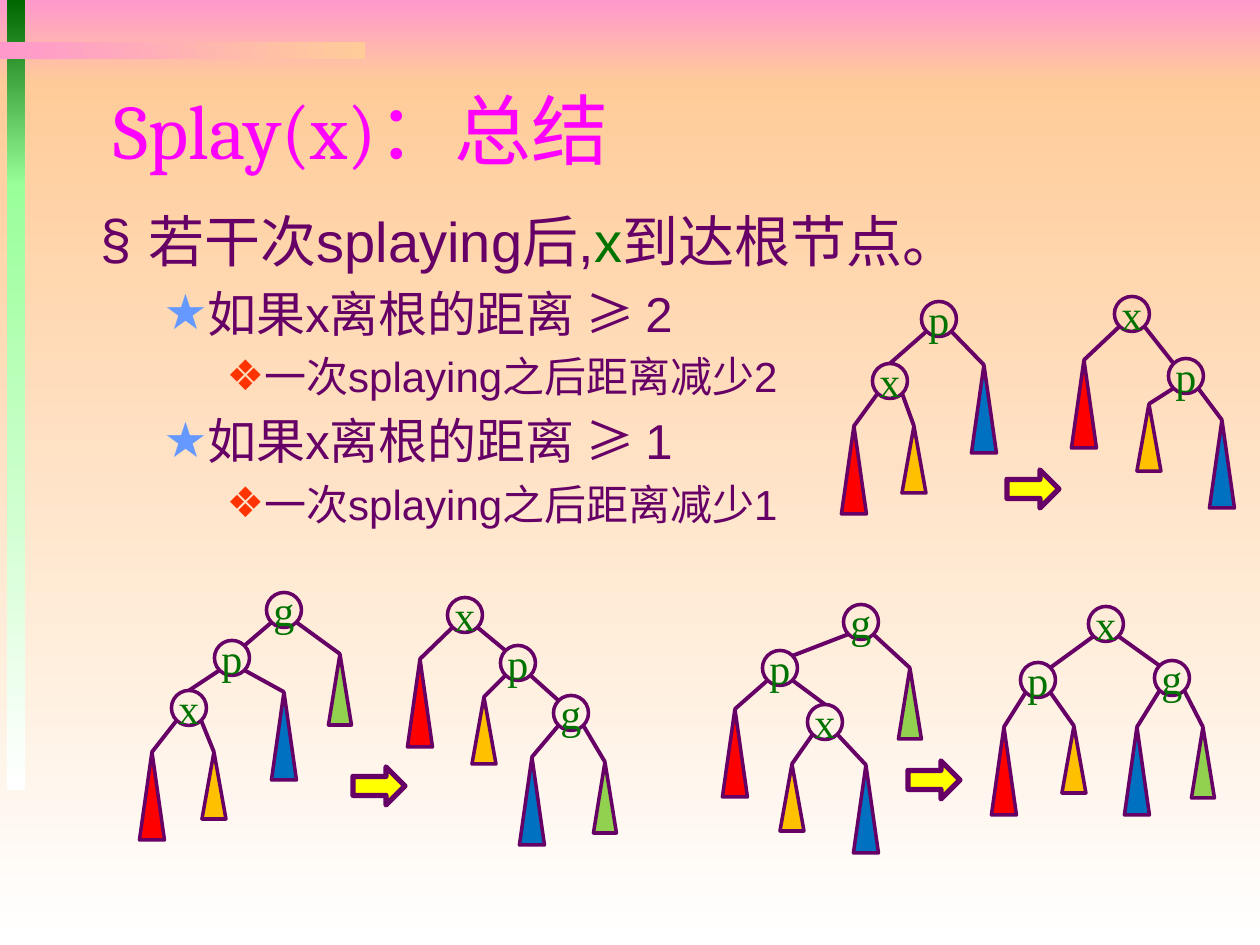
from lxml import etree
from pptx import Presentation
from pptx import util as u
from pptx.dml.color import RGBColor
from pptx.enum import shapes as kinds, text as t
from pptx.oxml import ns

PX = 914400 // 126

THEME = {
    "ink": "660066", "letter": "007200", "title": "FF00FF",
    "pink": "FF99CC", "peach": "FFCC99", "white": "FFFFFF",
    "dark green": "006600", "light green": "99FF99", "arrow": "FFFF00",
    "title font": "Cambria", "body font": "Arial", "node font": "Times New Roman",
    "title size": 44, "level sizes": (32, 28, 24), "node size": 24,
    "outline": 2, "branch": 2.25, "arrow outline": 3,
}

# box, first colour, last colour, counter-clockwise angle
BANDS = [
    ((0, 0, 1260, 84), "pink", "peach", 270),
    ((0, 84, 1260, 861), "peach", "white", 270),
    ((7, 0, 18, 186), "dark green", "light green", 270),
    ((7, 184, 18, 606), "light green", "white", 270),
    ((0, 42, 365, 17), "pink", "peach", 0),
]

TITLE = "Splay(x)：总结"
TITLE_BOX = (101, 72, 1071, 113)
BODY_BOX = (88, 200, 1008, 402)
# level, runs of (text, colour)
BODY = [
    (0, [("若干次splaying后,", "ink"), ("x", "letter"), ("到达根节点。", "ink")]),
    (1, [("如果x离根的距离 ≥ 2", "ink")]),
    (2, [("一次splaying之后距离减少2", "ink")]),
    (1, [("如果x离根的距离 ≥ 1", "ink")]),
    (2, [("一次splaying之后距离减少1", "ink")]),
]
# left margin, hanging indent, bullet, bullet colour
LEVELS = [(48, 48, "§", "660066"), (102, 39, "★", "6699FF"), (158, 32, "❖", "FF3300")]

# subtree: width, height, colour
SUBTREES = {
    "A": (25, 88, "FF0000"), "B": (24, 67, "FFC000"),
    "C": (25, 88, "0070C0"), "D": (23, 71, "92D050"),
}
NODE = 35
CORNER = 12  # offset of a circle's 45-degree point from its centre

# node: name, centre x, centre y, left child, right child; subtree: name, apex x, apex y
TREES = [
    ("p", 939, 319,
     ("x", 890, 381, ("A", 854, 426), ("B", 914, 426)),
     ("C", 984, 365)),
    ("x", 1132, 314,
     ("A", 1084, 360),
     ("p", 1186, 376, ("B", 1149, 404), ("C", 1222, 420))),
    ("g", 861, 622,
     ("p", 780, 668,
      ("A", 735, 709),
      ("x", 825, 722, ("B", 792, 764), ("C", 866, 765))),
     ("D", 910, 668)),
    ("x", 1106, 624,
     ("p", 1038, 680, ("A", 1004, 727), ("B", 1074, 726)),
     ("g", 1172, 678, ("C", 1137, 727), ("D", 1203, 727))),
    ("g", 284, 610,
     ("p", 232, 658,
      ("x", 189, 708, ("A", 152, 752), ("B", 214, 752)),
      ("C", 284, 692)),
     ("D", 340, 654)),
    ("x", 465, 615,
     ("A", 420, 659),
     ("p", 518, 663,
      ("B", 484, 697),
      ("g", 571, 713, ("C", 532, 757), ("D", 605, 762)))),
]
ARROWS = [(1007, 470), (908, 761), (353, 767)]
ARROW_SIZE = (52, 38)


def emu(lengths):
    return [round(length * PX) for length in lengths]


def rgb(name):
    return RGBColor.from_string(THEME.get(name, name))


def apply(target, **values):
    for name, value in values.items():
        setattr(target, name, value)


def add_run(paragraph, text, font, size, colour):
    run = paragraph.add_run()
    run.text = text
    apply(run.font, name=THEME[font], size=u.Pt(size))
    run.font.color.rgb = rgb(colour)


def add_shape(parent, kind, box, fill=None, width=None):
    shape = parent.shapes.add_shape(kind, *emu(box))
    shape.shadow.inherit = False
    if fill:
        shape.fill.solid()
        shape.fill.fore_color.rgb = rgb(fill)
    else:
        shape.fill.background()
    if width:
        shape.line.color.rgb = rgb("ink")
        shape.line.width = u.Pt(width)
    else:
        shape.line.fill.background()
    return shape


def add_band(slide, box, first, last, angle):
    fill = add_shape(slide, kinds.MSO_SHAPE.RECTANGLE, box).fill
    fill.gradient()
    fill.gradient_angle = angle
    for stop, colour in zip(fill.gradient_stops, (first, last)):
        stop.color.rgb = rgb(colour)


def add_branch(parent, start, end):
    line = parent.shapes.add_connector(kinds.MSO_CONNECTOR.STRAIGHT, *emu(start + end))
    line.line.color.rgb = rgb("ink")
    line.line.width = u.Pt(THEME["branch"])
    etree.SubElement(line.element.spPr, ns.qn("a:effectLst"))


def branch_end(child, side):
    """Branches reach a subtree's apex, the top of x, or the facing corner of p and g."""
    name, x, y = child[:3]
    if name in SUBTREES:
        return x, y
    if name == "x":
        return x, y - NODE / 2
    return x - side * CORNER, y - CORNER


def add_tree(group, tree):
    name, x, y, *children = tree
    if name in SUBTREES:
        width, height, colour = SUBTREES[name]
        add_shape(group, kinds.MSO_SHAPE.ISOSCELES_TRIANGLE,
                  (x - width / 2, y, width, height), colour, THEME["outline"])
        return
    circle = add_shape(group, kinds.MSO_SHAPE.OVAL,
                       (x - NODE / 2, y - NODE / 2, NODE, NODE), width=THEME["outline"])
    apply(circle.text_frame, word_wrap=False, vertical_anchor=t.MSO_ANCHOR.MIDDLE)
    paragraph = circle.text_frame.paragraphs[0]
    paragraph.alignment = t.PP_ALIGN.CENTER
    add_run(paragraph, name, "node font", THEME["node size"], "letter")
    for side, child in zip((-1, 1), children):
        add_branch(group, (x + side * CORNER, y + CORNER), branch_end(child, side))
        add_tree(group, child)


def place(placeholder, box, anchor):
    """Move a placeholder to its box, in front of the bands."""
    apply(placeholder, **dict(zip(("left", "top", "width", "height"), emu(box))))
    apply(placeholder.text_frame, word_wrap=True, vertical_anchor=anchor,
          auto_size=t.MSO_AUTO_SIZE.NONE)
    placeholder.element.getparent().append(placeholder.element)
    return placeholder.text_frame


def set_bullet(paragraph, margin, hanging, character, colour):
    properties = paragraph._p.get_or_add_pPr()
    properties.set("marL", str(margin * PX))
    properties.set("indent", str(-hanging * PX))
    bullet_colour = etree.SubElement(properties, ns.qn("a:buClr"))
    etree.SubElement(bullet_colour, ns.qn("a:srgbClr"), val=colour)
    etree.SubElement(properties, ns.qn("a:buFont"), typeface=THEME["body font"])
    etree.SubElement(properties, ns.qn("a:buChar"), char=character)


def add_body(frame):
    for index, (level, runs) in enumerate(BODY):
        paragraph = frame.add_paragraph() if index else frame.paragraphs[0]
        size = THEME["level sizes"][level]
        apply(paragraph, level=level, alignment=t.PP_ALIGN.LEFT,
              space_before=u.Pt(0.2 * size if index else 0))
        set_bullet(paragraph, *LEVELS[level])
        for text, colour in runs:
            add_run(paragraph, text, "body font", size, colour)


def main():
    presentation = Presentation()
    apply(presentation, slide_width=u.Inches(10), slide_height=u.Inches(7.5))
    slide = presentation.slides.add_slide(presentation.slide_layouts[1])
    for band in BANDS:
        add_band(slide, *band)

    title = place(slide.shapes.title, TITLE_BOX, t.MSO_ANCHOR.MIDDLE).paragraphs[0]
    title.alignment = t.PP_ALIGN.LEFT
    add_run(title, TITLE, "title font", THEME["title size"], "title")
    add_body(place(slide.placeholders[1], BODY_BOX, t.MSO_ANCHOR.TOP))

    for tree in TREES:
        add_tree(slide.shapes.add_group_shape(), tree)
    for corner in ARROWS:
        add_shape(slide, kinds.MSO_SHAPE.RIGHT_ARROW, corner + ARROW_SIZE,
                  "arrow", THEME["arrow outline"])
    presentation.save("out.pptx")


if __name__ == "__main__":
    main()
